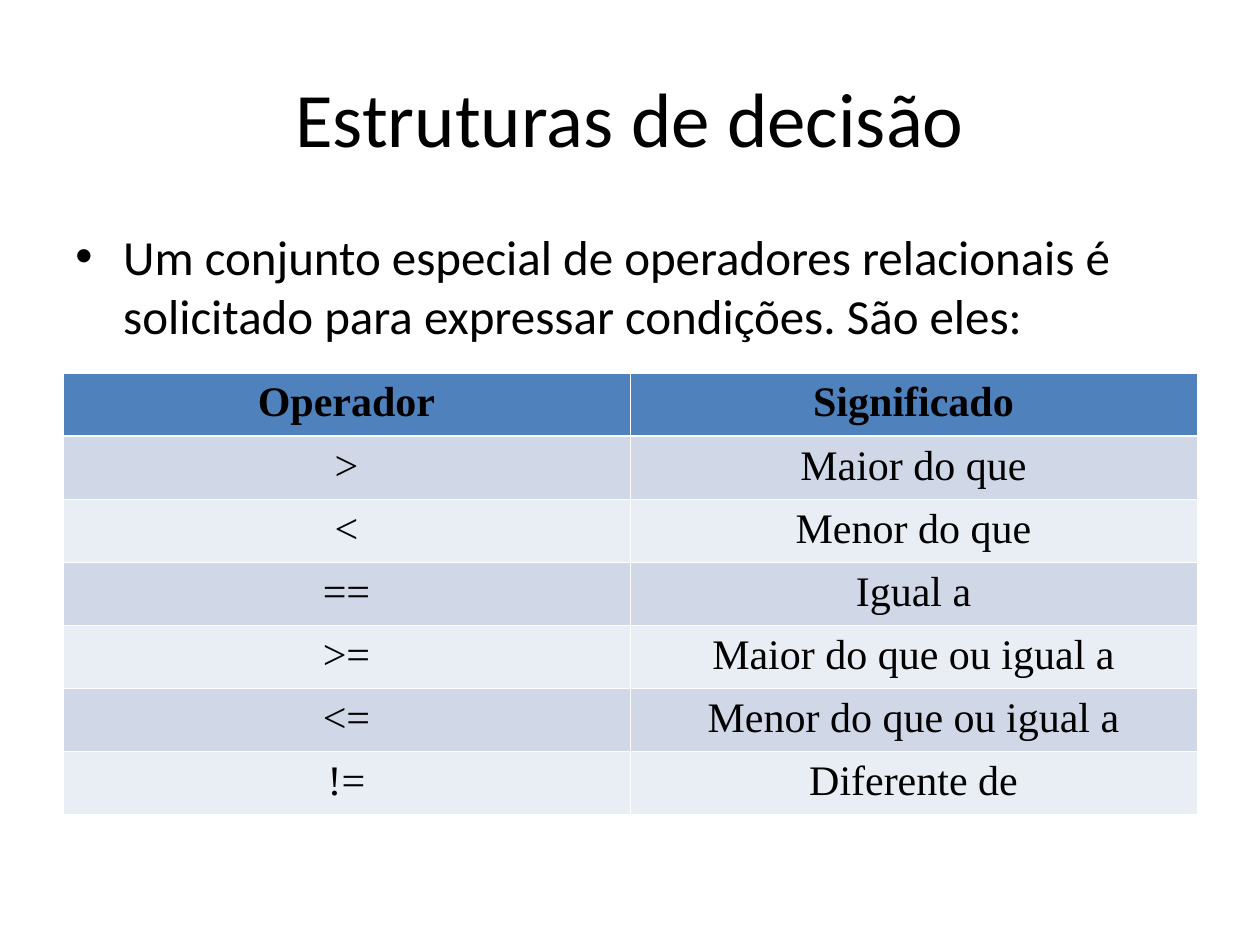
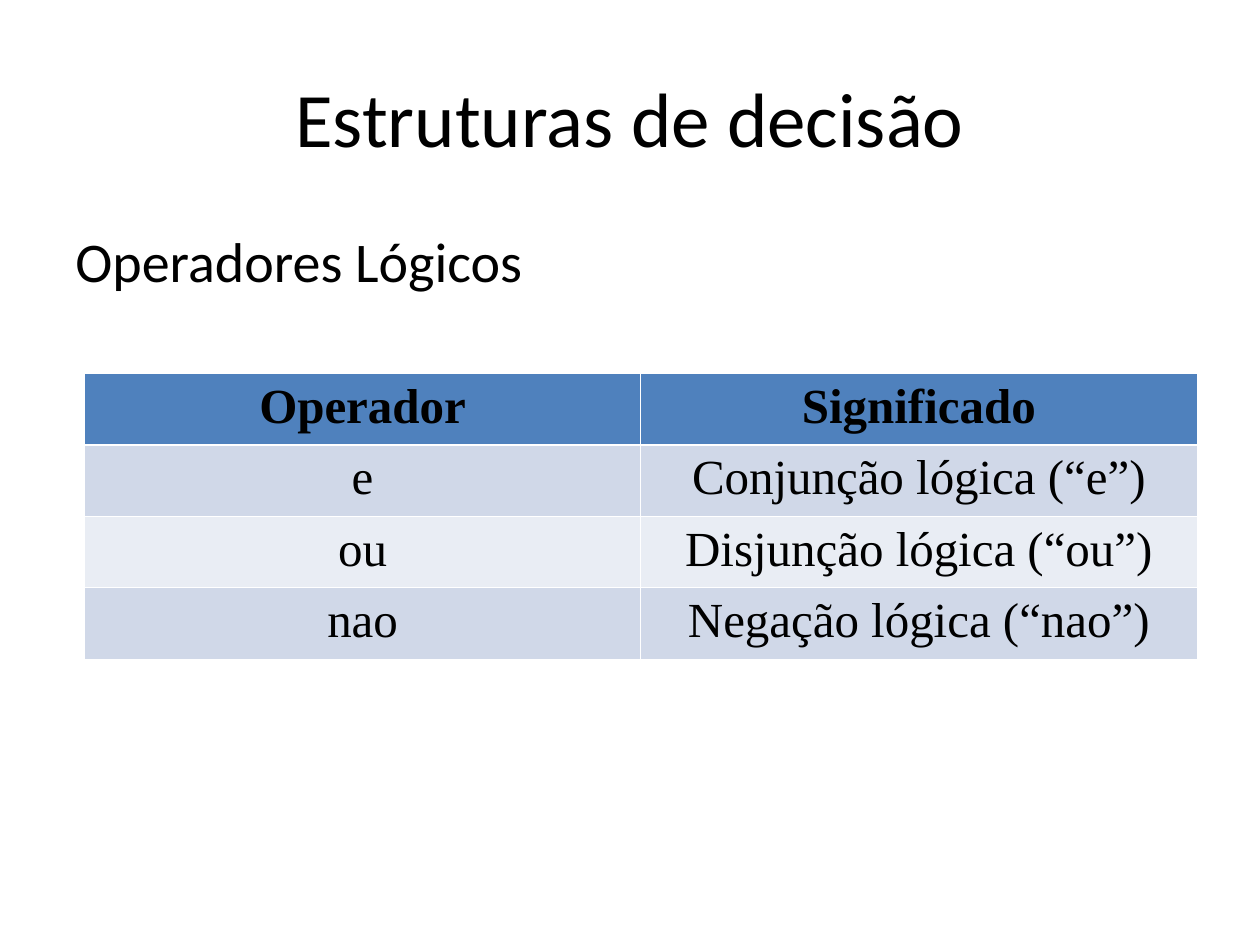
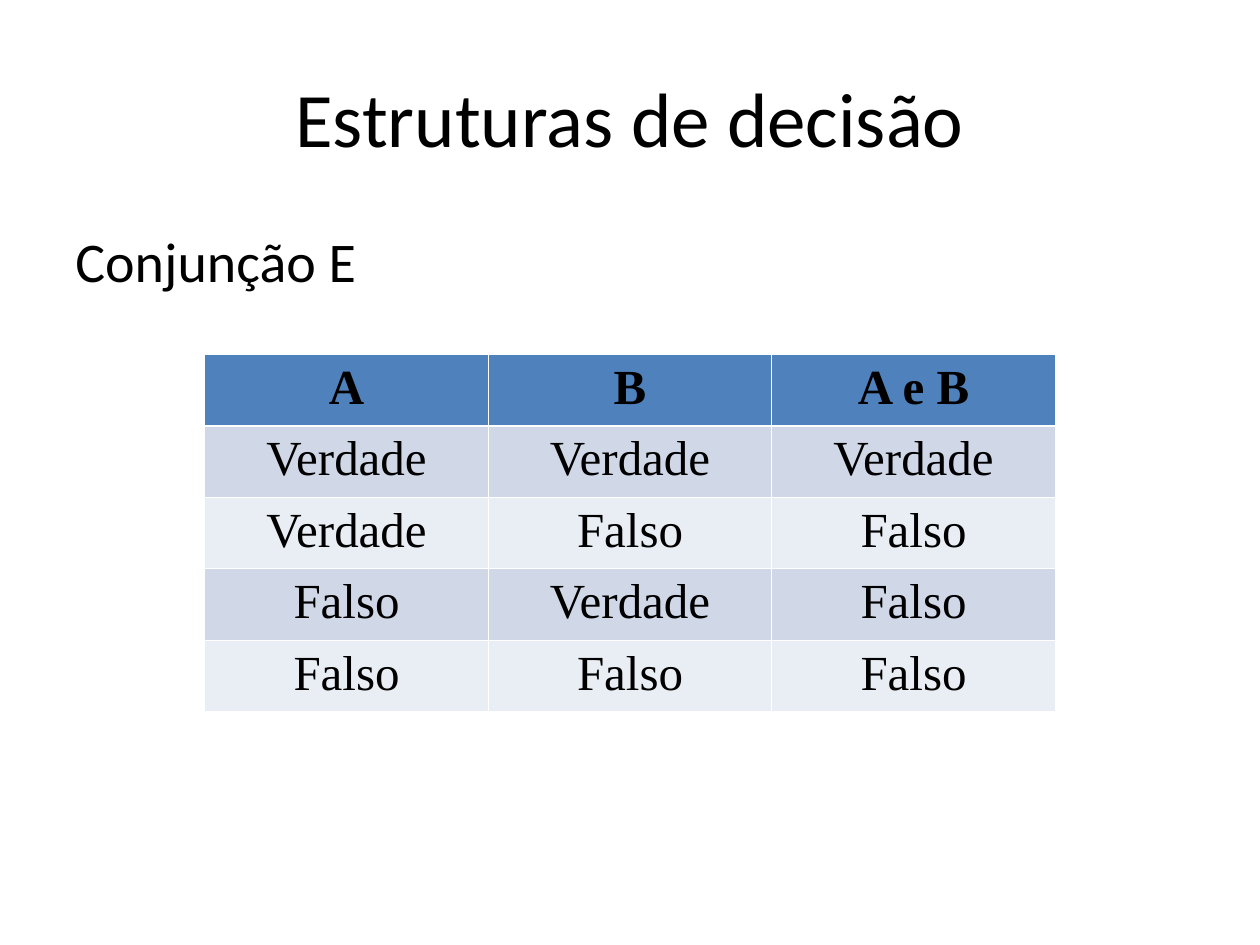
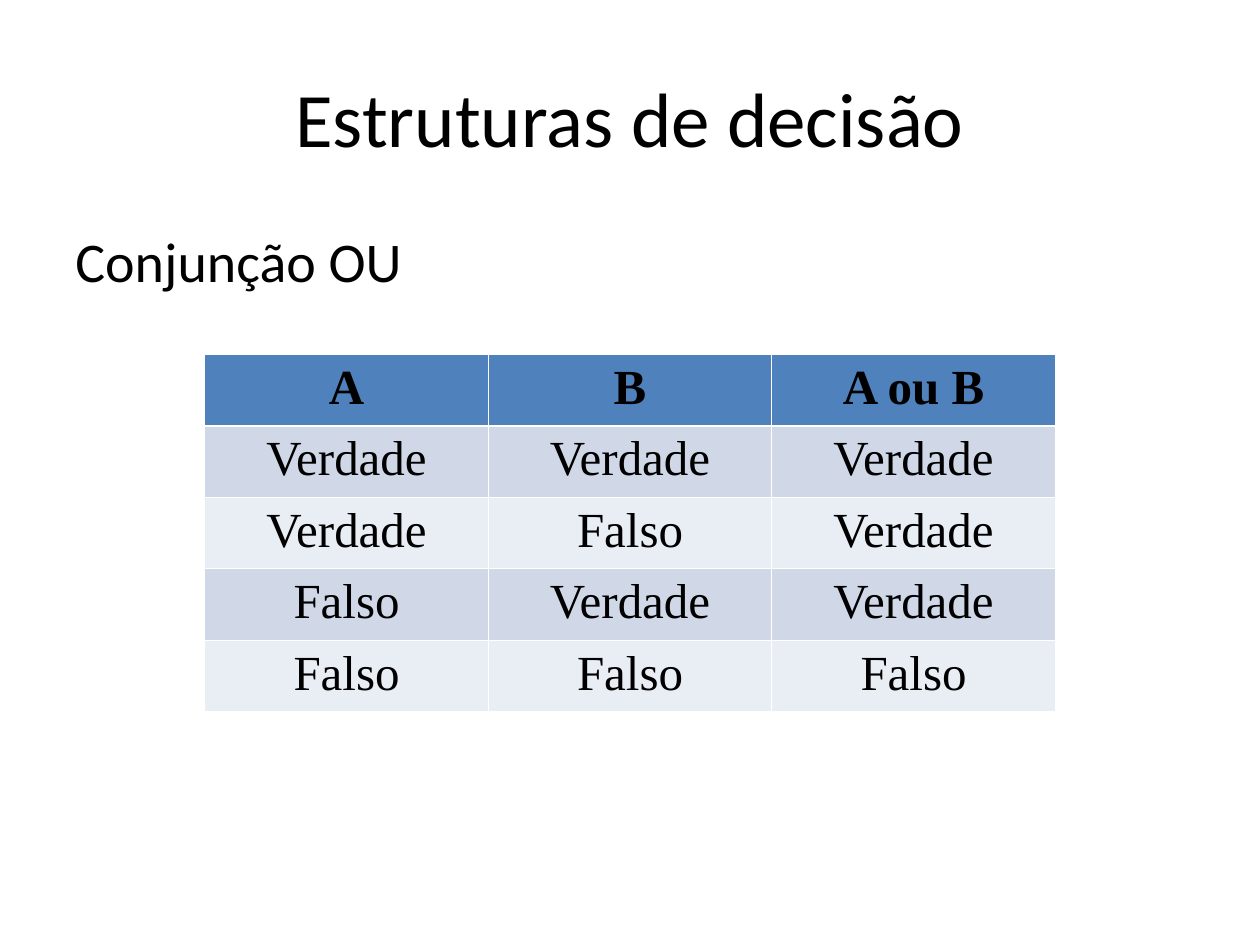
"""Builds four slides on relational and logical operators."""
import lxml.etree
import pptx
import pptx.dml.color
import pptx.enum.text
import pptx.oxml.ns
import pptx.util

ALIGN = pptx.enum.text.PP_ALIGN
ANCHOR = pptx.enum.text.MSO_ANCHOR
BLACK, WHITE = "000000", "FFFFFF"
HEADER_FILL = "4F81BD"
BAND_FILLS = ("E9EDF4", "D0D8E8")
BODY_FONT, TABLE_FONT = "Calibri", "Times New Roman"
TITLE = "Estruturas de decisão"
GRID_COLUMNS, GRID_ROWS = 40, 30
TITLE_ONLY = 5
THIN, THICK = 0.45, 1.47


def color(value):
    """Turn a hex string into a colour."""
    return pptx.dml.color.RGBColor.from_string(value)


def add_element(parent, tag, **attributes):
    """Append a drawing element with its attributes to a parent."""
    return lxml.etree.SubElement(parent, pptx.oxml.ns.qn(tag), **attributes)


def write(frame, text, size, font=BODY_FONT, bold=False, align=ALIGN.LEFT,
          anchor=ANCHOR.TOP, bullet=False):
    """Fill a text frame with one formatted paragraph."""
    frame.word_wrap = True
    frame.vertical_anchor = anchor
    paragraph = frame.paragraphs[0]
    paragraph.text = text
    paragraph.alignment = align
    if bullet:
        properties = paragraph._p.get_or_add_pPr()
        indent = pptx.util.Inches(0.38)
        properties.set("marL", str(indent))
        properties.set("indent", str(-indent))
        add_element(properties, "a:buFont", typeface="Arial")
        add_element(properties, "a:buChar", char="•")
    run_font = paragraph.runs[0].font
    run_font.name = font
    run_font.size = pptx.util.Pt(size)
    run_font.bold = bold
    run_font.color.rgb = color(BLACK)


def draw_borders(cell, top, bottom):
    """Draw white borders around a cell."""
    properties = cell._tc.get_or_add_tcPr()
    for side, width in (("L", THIN), ("R", THIN), ("T", top), ("B", bottom)):
        line = add_element(properties, f"a:ln{side}", w=str(pptx.util.Pt(width)))
        fill = add_element(line, "a:solidFill")
        add_element(fill, "a:srgbClr", val=WHITE)


class Deck:
    """Holds the presentation, its grid and the current slide."""

    def __init__(self):
        """Start an empty presentation."""
        self.presentation = pptx.Presentation()
        self.presentation.slide_width = pptx.util.Inches(10)
        self.presentation.slide_height = pptx.util.Inches(7.5)
        self.slide = None

    def box(self, column, row, columns, rows):
        """Turn grid units into left, top, width and height."""
        across = self.presentation.slide_width / GRID_COLUMNS
        down = self.presentation.slide_height / GRID_ROWS
        return (round(column * across), round(row * down),
                round(columns * across), round(rows * down))

    def add_slide(self, title):
        """Add a slide with its title."""
        layout = self.presentation.slide_layouts[TITLE_ONLY]
        self.slide = self.presentation.slides.add_slide(layout)
        shape = self.slide.shapes.title
        shape.left, shape.top, shape.width, shape.height = self.box(2, 1.2, 36, 5)
        shape.text_frame.auto_size = pptx.enum.text.MSO_AUTO_SIZE.NONE
        write(shape.text_frame, title, 44, align=ALIGN.CENTER, anchor=ANCHOR.MIDDLE)

    def add_body(self, text, size=32, bullet=False):
        """Add the text under the title."""
        shape = self.slide.shapes.add_textbox(*self.box(2, 7, 36, 12.4))
        write(shape.text_frame, text, size, bullet=bullet)

    def add_table(self, rows, column, row, columns, row_height=2.27, size=28):
        """Add a banded table with a header row."""
        place = self.box(column, row, columns, row_height * len(rows))
        table = self.slide.shapes.add_table(len(rows), len(rows[0]), *place).table
        for index, texts in enumerate(rows):
            header = index == 0
            fill = HEADER_FILL if header else BAND_FILLS[index % 2]
            for position, text in enumerate(texts):
                cell = table.cell(index, position)
                draw_borders(cell, top=THICK if index == 1 else THIN,
                             bottom=THICK if header else THIN)
                cell.fill.solid()
                cell.fill.fore_color.rgb = color(fill)
                write(cell.text_frame, text, size, font=TABLE_FONT, bold=header,
                      align=ALIGN.CENTER)

    def add_truth_table(self, name, operator, rule):
        """Add a slide with the truth table of a logical operator."""
        words = {True: "Verdade", False: "Falso"}
        rows = [("A", "B", f"A {operator} B")]
        for first in (True, False):
            for second in (True, False):
                rows.append((words[first], words[second], words[rule((first, second))]))
        self.add_slide(TITLE)
        self.add_body(name)
        self.add_table(rows, 6.5, 11.25, 27)


def main():
    """Build and save the slides."""
    deck = Deck()

    deck.add_slide(TITLE)
    deck.add_body("Um conjunto especial de operadores relacionais é solicitado "
                  "para expressar condições. São eles:", size=28, bullet=True)
    relational = [
        ("Operador", "Significado"),
        (">", "Maior do que"),
        ("<", "Menor do que"),
        ("==", "Igual a"),
        (">=", "Maior do que ou igual a"),
        ("<=", "Menor do que ou igual a"),
        ("!=", "Diferente de"),
    ]
    deck.add_table(relational, 2, 11.85, 36, row_height=2, size=24)

    deck.add_slide(TITLE)
    deck.add_body("Operadores Lógicos")
    logical = [
        ("Operador", "Significado"),
        ("e", "Conjunção lógica (“e”)"),
        ("ou", "Disjunção lógica (“ou”)"),
        ("nao", "Negação lógica (“nao”)"),
    ]
    deck.add_table(logical, 2.68, 11.85, 35.32)

    deck.add_truth_table("Conjunção E", "e", all)
    deck.add_truth_table("Conjunção OU", "ou", any)

    deck.presentation.save("out.pptx")


if __name__ == "__main__":
    main()
